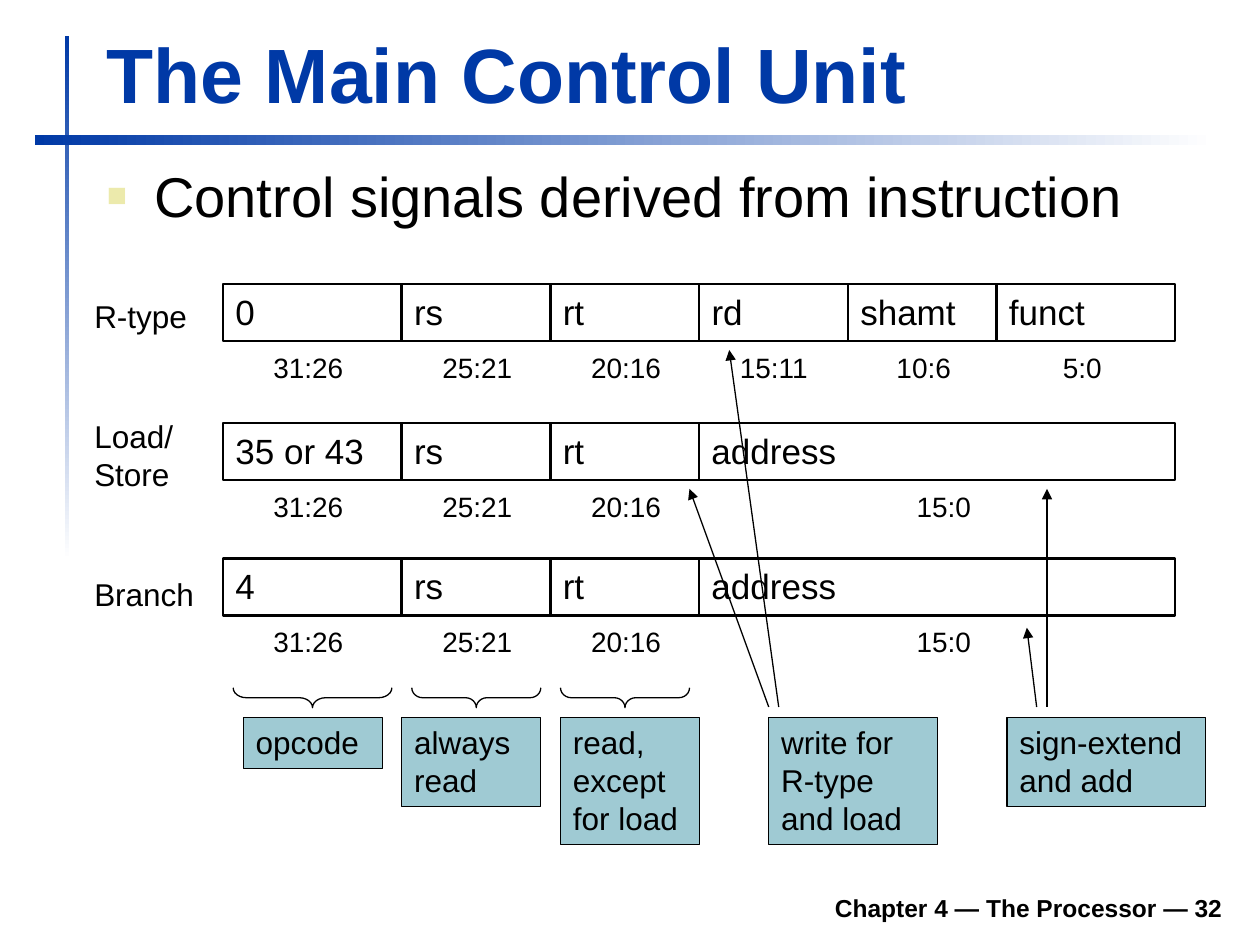
from lxml import etree
from pptx import Presentation
from pptx.dml.color import RGBColor
from pptx.enum.shapes import MSO_CONNECTOR, MSO_SHAPE
from pptx.enum.text import MSO_ANCHOR, PP_ALIGN
from pptx.oxml.ns import qn
from pptx.util import Pt


def color(code):
    return RGBColor.from_string(code)


def write(text, x, y, w, h, size=18, ink="000000", bold=False, align=PP_ALIGN.LEFT,
          anchor=MSO_ANCHOR.TOP, wrap=True, line=None, fill=None, bullet=None):
    """Add text in a text box, or in a rectangle if a line width is given."""
    area = Pt(x), Pt(y), Pt(w), Pt(h)
    if line:
        box = slide.shapes.add_shape(MSO_SHAPE.RECTANGLE, *area)
        box.shadow.inherit = False
        box.line.color.rgb = color("000000")
        box.line.width = Pt(line)
        if fill:
            box.fill.solid()
            box.fill.fore_color.rgb = color(fill)
        else:
            box.fill.background()
    else:
        box = slide.shapes.add_textbox(*area)
    frame = box.text_frame
    frame.word_wrap = wrap
    frame.vertical_anchor = anchor
    para = frame.paragraphs[0]
    para.text = text
    para.alignment = align
    if bullet:
        props = para._p.get_or_add_pPr()
        props.set("marL", str(Pt(27)))
        props.set("indent", str(-Pt(27)))
        tint = etree.SubElement(props, qn("a:buClr"))
        etree.SubElement(tint, qn("a:srgbClr"), val=bullet)
        etree.SubElement(props, qn("a:buSzPct"), val="60000")
        etree.SubElement(props, qn("a:buFont"), typeface="Arial")
        etree.SubElement(props, qn("a:buChar"), char="■")
    for run in para.runs:
        run.font.name = "Arial"
        run.font.size = Pt(size)
        run.font.bold = bold
        run.font.color.rgb = color(ink)


deck = Presentation()
deck.slide_width, deck.slide_height = Pt(720), Pt(540)
slide = deck.slides.add_slide(deck.slide_layouts[6])

# Fading bars
for x, y, w, h, angle in [(36.9, 20.3, 2.5, 300, 270), (20, 77, 674.6, 5.8, 0)]:
    bar = slide.shapes.add_shape(MSO_SHAPE.RECTANGLE, Pt(x), Pt(y), Pt(w), Pt(h))
    bar.shadow.inherit = False
    bar.line.fill.background()
    bar.fill.gradient()
    bar.fill.gradient_angle = angle
    for stop, code in zip(bar.fill.gradient_stops, ("0039A6", "FFFFFF")):
        stop.color.rgb = color(code)

write("Chapter 4 — The Processor — 32", 133, 502.5, 572.7, 28, size=14, bold=True,
      align=PP_ALIGN.RIGHT, anchor=MSO_ANCHOR.BOTTOM)
write("The Main Control Unit", 54, 11.5, 650, 60, size=44, ink="0039A6", bold=True,
      anchor=MSO_ANCHOR.BOTTOM)
write("Control signals derived from instruction", 54, 88.5, 651.5, 55, size=32,
      bullet="ECEAAC")

# Instruction formats: field name, bit range, width, shift of the bit range
regs = [("rs", "25:21", 85, 1), ("rt", "20:16", 85, 1)]
address = [("address", "15:0", 272, 4)]
formats = [
    ("R-type", 166.3, 162.4, "0", regs + [("rd", "15:11", 85, 1), ("shamt", "10:6", 85, 1),
                                          ("funct", "5:0", 102, -2)]),
    ("Load/\nStore", 234.7, 241.8, "35 or 43", regs + address),
    ("Branch", 325.3, 319, "4", regs + address),
]
for name, top, y, code, rest in formats:
    write(name, 46.8, top, 75, 25.2 * (1 + name.count("\n")) + 3.8)
    x = 127.5
    for field, bits, w, shift in [(code, "31:26", 102, -2)] + rest:
        write(field, x, y, w, 32.6, size=20, line=1.5)
        span = 9 * len(bits) + 9.6
        write(bits, x + (w - span) / 2 + shift, y + 34.4, span, 26.6, size=16, wrap=False)
        x += w

# Braces under the first three fields
for mid, length, curl in [(178.6, 90.7, 0.665), (272.2, 73.7, 0.539), (357.2, 73.7, 0.539)]:
    brace = slide.shapes.add_shape(MSO_SHAPE.LEFT_BRACE, Pt(mid - 5.7),
                                   Pt(398.7 - length / 2), Pt(11.4), Pt(length))
    brace.shadow.inherit = False
    brace.rotation = 270
    brace.adjustments[0] = curl
    brace.fill.background()
    brace.line.color.rgb = color("000000")
    brace.line.width = Pt(0.75)

notes = [
    ("opcode", 139, 79.4, 29.5),
    ("always read", 229.6, 79.4, 51),
    ("read, except for load", 320.3, 79.4, 72.7),
    ("write for R-type and load", 439.3, 96.4, 72.7),
    ("sign-extend and add", 575.4, 113.4, 51),
]
for text, x, w, h in notes:
    write(text, x, 409.8, w, h, line=0.75, fill="9FCAD3")

# Arrows from the notes up to the fields
for x, end, top in [(439.3, 394, 279.4), (445, 416.7, 200), (592.4, 586.8, 358.7),
                    (598.3, 598.3, 279.4)]:
    arrow = slide.shapes.add_connector(MSO_CONNECTOR.STRAIGHT, Pt(x), Pt(404), Pt(end), Pt(top))
    arrow.line.color.rgb = color("000000")
    arrow.line.width = Pt(0.75)
    etree.SubElement(arrow.line._get_or_add_ln(), qn("a:tailEnd"), type="triangle")
    etree.SubElement(arrow._element.spPr, qn("a:effectLst"))

deck.save("out.pptx")
